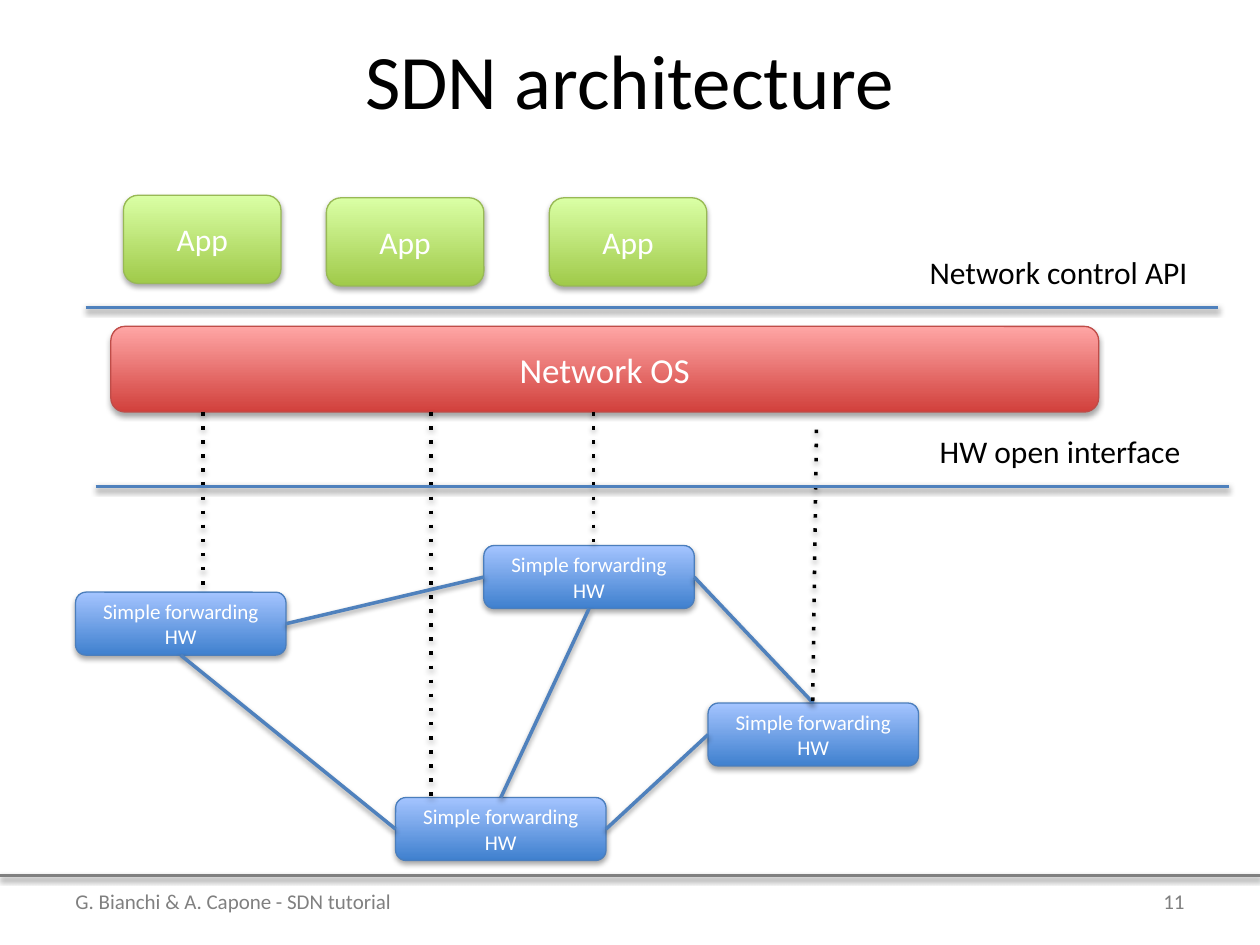
from dataclasses import dataclass

from lxml import etree
from pptx import Presentation
from pptx import util as u
from pptx.dml.color import RGBColor
from pptx.enum import shapes, text
from pptx.oxml.ns import qn

COLS, ROWS = 100, 75
WIDE, HIGH = u.Inches(10), u.Inches(7.5)
FONT = "Calibri"

BLACK = RGBColor(0x00, 0x00, 0x00)
WHITE = RGBColor(0xFF, 0xFF, 0xFF)
GRAY = RGBColor(0x80, 0x80, 0x80)
PAGE = RGBColor(0x7F, 0x7F, 0x7F)
BLUE = RGBColor(0x4F, 0x81, 0xBD)

TOP, LEFT, BOTTOM, RIGHT = range(4)


@dataclass(frozen=True)
class Look:
    low: RGBColor
    high: RGBColor
    edge: RGBColor
    size: int


@dataclass(frozen=True)
class Box:
    label: str
    col: float
    row: float
    cols: float
    rows: float
    look: Look


@dataclass(frozen=True)
class Rule:
    start: tuple[float, float]
    end: tuple[float, float]
    color: RGBColor = BLUE
    dotted: bool = False


@dataclass(frozen=True)
class Link:
    start: str
    exit: int
    end: str
    entry: int


@dataclass(frozen=True)
class Note:
    label: str
    col: float
    row: float
    cols: float
    size: int
    color: RGBColor
    wrap: bool = True
    anchor: text.MSO_ANCHOR = text.MSO_ANCHOR.MIDDLE
    align: text.PP_ALIGN = text.PP_ALIGN.LEFT


GREEN_LOOK = Look(RGBColor(0xA0, 0xCA, 0x4A), RGBColor(0xDA, 0xFF, 0xA5),
                  RGBColor(0x98, 0xB9, 0x55), 18)
RED_LOOK = Look(RGBColor(0xD1, 0x40, 0x3C), RGBColor(0xFF, 0xA6, 0xA5),
                RGBColor(0xBF, 0x4C, 0x48), 20)
BLUE_LOOK = Look(RGBColor(0x3F, 0x80, 0xCE), RGBColor(0xA4, 0xC4, 0xFF),
                 RGBColor(0x4B, 0x7E, 0xBC), 12)

NODES = {"west": (6, 47), "north": (38.4, 43.3),
         "east": (56.2, 55.8), "south": (31.4, 63.3)}
LINKS = [
    Link("west", RIGHT, "north", LEFT),
    Link("south", LEFT, "west", BOTTOM),
    Link("south", TOP, "north", BOTTOM),
    Link("south", RIGHT, "east", LEFT),
    Link("north", RIGHT, "east", TOP),
]
APPS = [(9.8, 15.5), (25.9, 15.7), (43.6, 15.7)]
SYSTEM = Box("Network OS", 8.8, 25.9, 78.4, 6.8, RED_LOOK)
BASE = SYSTEM.row + SYSTEM.rows
DROPS = [((16.1, BASE), (16.1, 47)), ((47.1, BASE), (47.1, 43.3)),
         ((34.2, BASE), (34.2, 63.3)), ((64.8, 34.1), (64.5, 55.8))]
LAYERS = [Rule((7.6, 38.6), (97.5, 38.6)), Rule((6.8, 24.4), (96.7, 24.4))]
NOTES = [
    Note("HW open interface", 73.6, 33.8, 21.4, 18, BLACK, False, text.MSO_ANCHOR.TOP),
    Note("Network control API", 72.8, 19.6, 22.8, 18, BLACK, False, text.MSO_ANCHOR.TOP),
    Note("G. Bianchi & A. Capone - SDN tutorial", 5, 69.5, 60.8, 12, GRAY),
    Note("11", 71.7, 69.5, 23.3, 12, PAGE, align=text.PP_ALIGN.RIGHT),
]


def x(col: float) -> int:
    return round(WIDE * col / COLS)


def y(row: float) -> int:
    return round(HIGH * row / ROWS)


def write(frame, words: str, *, size: int, color: RGBColor, wrap: bool = True,
          align=text.PP_ALIGN.CENTER, anchor=text.MSO_ANCHOR.MIDDLE) -> None:
    frame.word_wrap = wrap
    frame.vertical_anchor = anchor
    para = frame.paragraphs[0]
    para.alignment = align
    run = para.add_run()
    run.text = words
    run.font.name = FONT
    run.font.size = u.Pt(size)
    run.font.color.rgb = color


def shade(item, dist: int, alpha: int) -> None:
    glow = etree.SubElement(item._element.spPr, qn("a:effectLst"))
    drop = etree.SubElement(glow, qn("a:outerShdw"), blurRad="40000", dist=str(dist),
                            dir="5400000", rotWithShape="0")
    tint = etree.SubElement(drop, qn("a:srgbClr"), val=str(BLACK))
    etree.SubElement(tint, qn("a:alpha"), val=str(alpha * 1000))


def draw_box(slide, box: Box):
    item = slide.shapes.add_shape(shapes.MSO_SHAPE.ROUNDED_RECTANGLE,
                                  x(box.col), y(box.row), x(box.cols), y(box.rows))
    item.fill.gradient()
    item.fill.gradient_angle = 90
    for stop, color in zip(item.fill.gradient_stops, (box.look.low, box.look.high)):
        stop.color.rgb = color
    item.line.color.rgb = box.look.edge
    item.line.width = u.Pt(0.75)
    shade(item, 23000, 35)
    write(item.text_frame, box.label, size=box.look.size, color=WHITE)
    return item


def draw_rule(slide, rule: Rule):
    (left, top), (right, low) = rule.start, rule.end
    item = slide.shapes.add_connector(shapes.MSO_CONNECTOR.STRAIGHT,
                                      x(left), y(top), x(right), y(low))
    item.line.color.rgb = rule.color
    item.line.width = u.Pt(2)
    if rule.dotted:
        dash = etree.SubElement(item.line._get_or_add_ln(), qn("a:prstDash"))
        dash.set("val", "dot")
    shade(item, 20000, 38)
    return item


def draw_link(slide, link: Link, nodes: dict) -> None:
    item = draw_rule(slide, Rule((0, 0), (1, 1)))
    item.begin_connect(nodes[link.start], link.exit)
    item.end_connect(nodes[link.end], link.entry)


def draw_note(slide, note: Note) -> None:
    item = slide.shapes.add_textbox(x(note.col), y(note.row), x(note.cols), y(4))
    write(item.text_frame, note.label, size=note.size, color=note.color,
          wrap=note.wrap, align=note.align, anchor=note.anchor)


def main() -> None:
    deck = Presentation()
    deck.slide_width, deck.slide_height = WIDE, HIGH
    slide = deck.slides.add_slide(deck.slide_layouts[5])

    title = slide.shapes.title
    title.left, title.top, title.width, title.height = x(5), y(0), x(90), y(12.5)
    write(title.text_frame, "SDN architecture", size=44, color=BLACK)

    draw_rule(slide, Rule((0, 69.5), (COLS, 69.5), GRAY))
    nodes = {name: draw_box(slide, Box("Simple forwarding HW", col, row, 16.7, 5, BLUE_LOOK))
             for name, (col, row) in NODES.items()}
    for link in LINKS:
        draw_link(slide, link, nodes)
    draw_box(slide, SYSTEM)
    for col, row in APPS:
        draw_box(slide, Box("App", col, row, 12.5, 7, GREEN_LOOK))
    for start, end in DROPS:
        draw_rule(slide, Rule(start, end, BLACK, True))
    for rule in LAYERS:
        draw_rule(slide, rule)
    for note in NOTES:
        draw_note(slide, note)
    deck.save("out.pptx")


if __name__ == "__main__":
    main()
